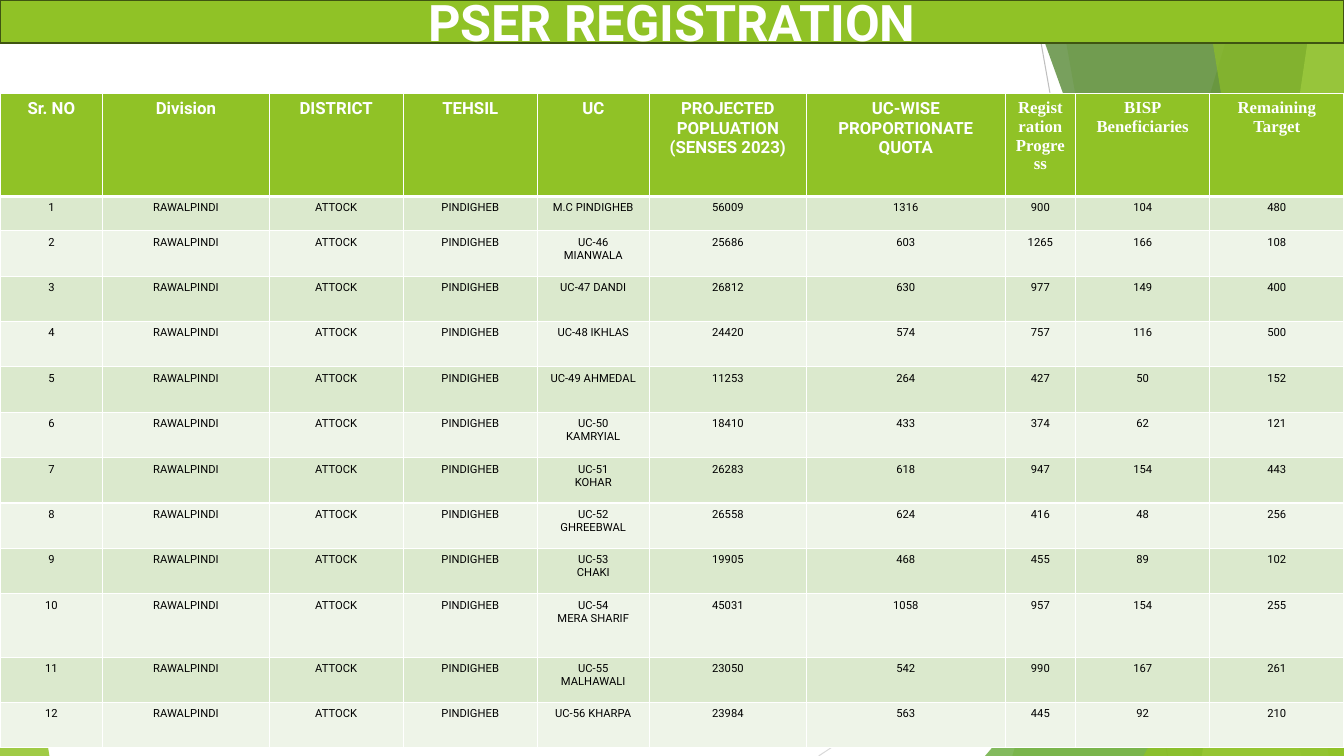
import pptx
import pptx.util
import pptx.dml.color
import pptx.enum.shapes
import pptx.enum.text
import pptx.oxml
import pptx.oxml.ns

Inches = pptx.util.Inches
Pt = pptx.util.Pt
WIDTH, HEIGHT = 13.33, 7.5
GREEN, WHITE = "90C226", "FFFFFF"
STRIPES = ["DBE9CD", "EEF4E8"]

TITLE = "PSER REGISTRATION"
HEADERS = ["Sr. NO", "Division", "DISTRICT", "TEHSIL", "UC",
           "PROJECTED POPLUATION (SENSES 2023)", "UC-WISE PROPORTIONATE QUOTA",
           "Registration Progress", "BISP\vBeneficiaries", "Remaining Target"]
FIRST_SERIF_COLUMN = 7
REGION = ["RAWALPINDI", "ATTOCK", "PINDIGHEB"]
COUNCILS = [
    ("M.C PINDIGHEB", 56009, 1316, 900, 104, 480),
    ("UC-46 MIANWALA", 25686, 603, 1265, 166, 108),
    ("UC-47 DANDI", 26812, 630, 977, 149, 400),
    ("UC-48 IKHLAS", 24420, 574, 757, 116, 500),
    ("UC-49 AHMEDAL", 11253, 264, 427, 50, 152),
    ("UC-50\nKAMRYIAL", 18410, 433, 374, 62, 121),
    ("UC-51\nKOHAR", 26283, 618, 947, 154, 443),
    ("UC-52\nGHREEBWAL", 26558, 624, 416, 48, 256),
    ("UC-53\nCHAKI", 19905, 468, 455, 89, 102),
    ("UC-54\nMERA SHARIF", 45031, 1058, 957, 154, 255),
    ("UC-55 MALHAWALI", 23050, 542, 990, 167, 261),
    ("UC-56 KHARPA", 23984, 563, 445, 92, 210),
]
COLUMN_WIDTHS = [1.02, 1.65, 1.33, 1.33, 1.11, 1.56, 1.97, 0.7, 1.33, 1.33]
ROW_HEIGHTS = [1.02, 0.34] + [0.45] * 8 + [0.63] + [0.45] * 2

RAYS = [((10.25, 0), (11.58, HEIGHT), "BFBFBF"),
        ((WIDTH, 4.03), (8.12, HEIGHT), "D9D9D9")]
FACETS = [
    ("panel", (12.28, 10.04), GREEN, 30),
    ("panel", (10.5, 11.83), GREEN, 20),
    ("triangle", (9.77, 3.33, 3.56, 1), "54A021", 72),
    ("panel", (10.21, 12.91), "3F7819", 70),
    ("panel", (13.03, 11.92), "C0E474", 70),
    ("panel", (11.96, 13.18), GREEN, 65),
    ("triangle", (11.34, 3.93, 1.99, 1), GREEN, 80),
    ("triangle", (0, 4.39, 0.49, 0), GREEN, 85),
]

HEADER_FORMAT = {"size": Pt(12), "bold": True}
BODY_FORMAT = {"size": Pt(8), "bold": False, "name": "Roboto"}
TITLE_FORMAT = {"size": Pt(36), "bold": True, "name": "Roboto"}


def color(value):
    return pptx.dml.color.RGBColor.from_string(value)


def fill_with(target, value):
    target.fill.solid()
    target.fill.fore_color.rgb = color(value)


def write(text_frame, text, text_color, font_format):
    text_frame.text = text
    for paragraph in text_frame.paragraphs:
        paragraph.alignment = pptx.enum.text.PP_ALIGN.CENTER
        for name, value in font_format.items():
            setattr(paragraph.font, name, value)
        paragraph.font.color.rgb = color(text_color)


def add_ray(slide, start, end, line_color):
    points = [Inches(value) for value in start + end]
    ray = slide.shapes.add_connector(pptx.enum.shapes.MSO_CONNECTOR.STRAIGHT, *points)
    ray.line.color.rgb = color(line_color)
    ray.line.width = Pt(0.75)
    pptx.oxml.ns.qn("a:effectLst")
    ray.element.spPr.append(pptx.oxml.parse_xml(
        f'<a:effectLst {pptx.oxml.ns.nsdecls("a")}/>'))


def add_facet(slide, kind, geometry, fill_color, opacity):
    if kind == "panel":
        top_x, bottom_x = geometry
        builder = slide.shapes.build_freeform(Inches(top_x), 0)
        corners = [(WIDTH, 0), (WIDTH, HEIGHT), (bottom_x, HEIGHT)]
        builder.add_line_segments([(Inches(x), Inches(y)) for x, y in corners], close=True)
        facet = builder.convert_to_shape()
    else:
        left, top, width, apex = geometry
        facet = slide.shapes.add_shape(
            pptx.enum.shapes.MSO_SHAPE.ISOSCELES_TRIANGLE,
            Inches(left), Inches(top), Inches(width), Inches(HEIGHT - top))
        facet.adjustments[0] = apex
    facet.shadow.inherit = False
    facet.line.fill.background()
    fill_with(facet, fill_color)
    solid_color = facet.element.spPr.find(".//" + pptx.oxml.ns.qn("a:srgbClr"))
    solid_color.append(pptx.oxml.parse_xml(
        f'<a:alpha {pptx.oxml.ns.nsdecls("a")} val="{opacity * 1000}"/>'))


def place_title(slide):
    title = slide.shapes.title
    title.element.getparent().append(title.element)
    box = {"left": 0, "top": 0, "width": Inches(WIDTH), "height": Inches(0.43)}
    for name, value in box.items():
        setattr(title, name, value)
    fill_with(title, GREEN)
    title.line.color.rgb = color("3F5511")
    title.line.width = Pt(1.5)
    title.text_frame.auto_size = pptx.enum.text.MSO_AUTO_SIZE.NONE
    title.text_frame.vertical_anchor = pptx.enum.text.MSO_ANCHOR.MIDDLE
    write(title.text_frame, TITLE, WHITE, TITLE_FORMAT)


def add_borders(cell, row_index):
    widths = {"L": 1, "R": 1, "T": 3 if row_index == 1 else 1, "B": 3 if row_index == 0 else 1}
    properties = cell._tc.get_or_add_tcPr()
    for side, width in widths.items():
        properties.append(pptx.oxml.parse_xml(
            f'<a:ln{side} {pptx.oxml.ns.nsdecls("a")} w="{Pt(width)}">'
            f'<a:solidFill><a:srgbClr val="{WHITE}"/></a:solidFill></a:ln{side}>'))


def add_registration_table(slide):
    rows = [HEADERS] + [[number, *REGION, *council]
                        for number, council in enumerate(COUNCILS, 1)]
    table = slide.shapes.add_table(
        len(rows), len(HEADERS), 0, Inches(0.93),
        Inches(WIDTH), Inches(sum(ROW_HEIGHTS))).table
    for column, width in zip(table.columns, COLUMN_WIDTHS):
        column.width = Inches(width)
    for row_index, values in enumerate(rows):
        table.rows[row_index].height = Inches(ROW_HEIGHTS[row_index])
        for column_index, value in enumerate(values):
            cell = table.cell(row_index, column_index)
            add_borders(cell, row_index)
            if row_index == 0:
                font = "Times New Roman" if column_index >= FIRST_SERIF_COLUMN else "Roboto"
                fill_with(cell, GREEN)
                write(cell.text_frame, value, WHITE, {**HEADER_FORMAT, "name": font})
            else:
                fill_with(cell, STRIPES[(row_index - 1) % 2])
                write(cell.text_frame, str(value), "000000", BODY_FORMAT)


def main():
    presentation = pptx.Presentation()
    presentation.slide_width = Inches(WIDTH)
    presentation.slide_height = Inches(HEIGHT)
    slide = presentation.slides.add_slide(presentation.slide_layouts[5])
    for ray in RAYS:
        add_ray(slide, *ray)
    for facet in FACETS:
        add_facet(slide, *facet)
    place_title(slide)
    add_registration_table(slide)
    presentation.save("out.pptx")


if __name__ == "__main__":
    main()
